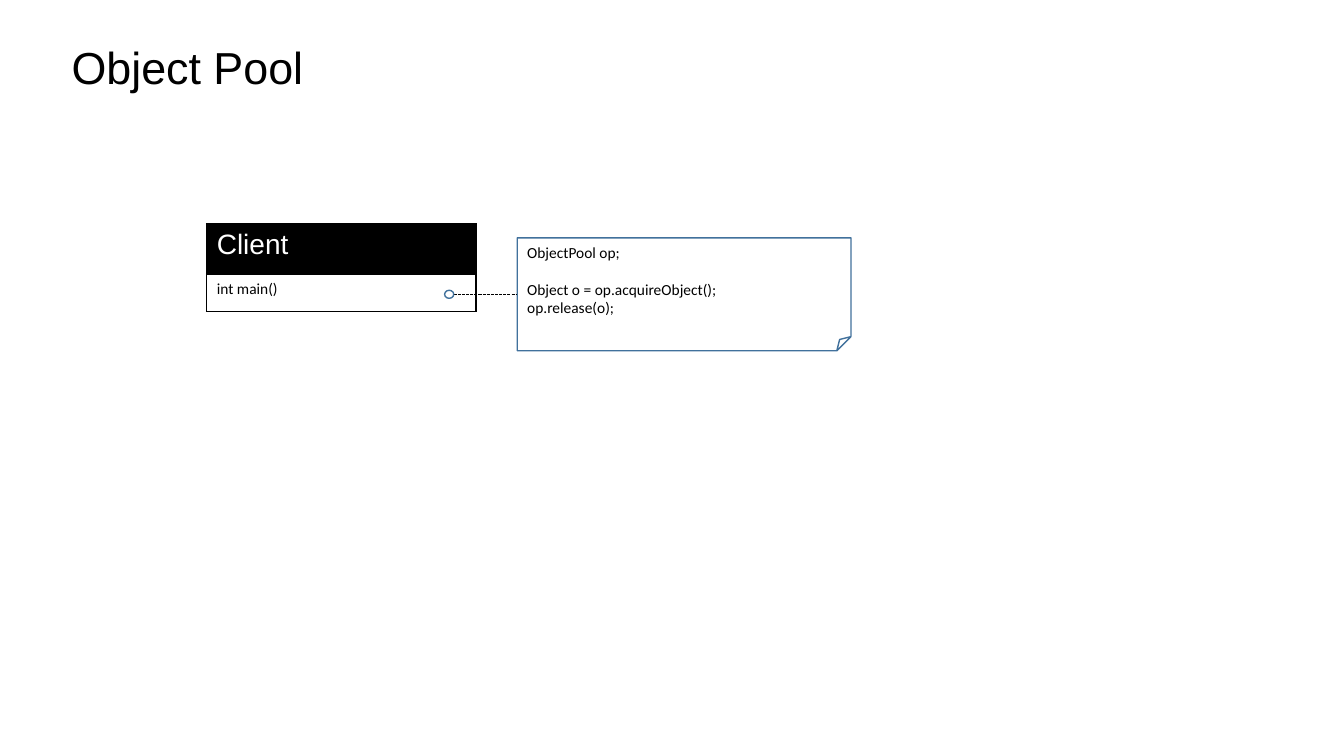
"""Build the Object Pool slide: a client class and a note with its code."""
import dataclasses

import lxml.etree
import pptx
import pptx.dml.color
import pptx.enum.dml
import pptx.enum.shapes
import pptx.enum.text
import pptx.oxml.ns
import pptx.util
from pptx.util import Inches


@dataclasses.dataclass(frozen=True)
class Theme:
    black: str = "000000"
    white: str = "FFFFFF"
    blue: str = "41719C"
    heading_font: str = "Arial"
    body_font: str = "Calibri"
    title_size: int = 32
    class_size: int = 20
    code_size: int = 11
    blank_line: float = 13.4
    border: float = 1.13


theme = Theme()
color = pptx.dml.color.RGBColor.from_string
qualified = pptx.oxml.ns.qn


def write_text(frame, text, *, font, size, fill=theme.black, align=pptx.enum.text.PP_ALIGN.LEFT,
               anchor=pptx.enum.text.MSO_ANCHOR.TOP, inset=(0.1, 0.05), gap_before=None):
    """Fill a text frame, one paragraph a line, with space before the line numbered gap_before."""
    frame.word_wrap = True
    frame.vertical_anchor = anchor
    frame.margin_left = frame.margin_right = Inches(inset[0])
    frame.margin_top = frame.margin_bottom = Inches(inset[1])
    for index, line in enumerate(text.split("\n")):
        paragraph = frame.add_paragraph() if index else frame.paragraphs[0]
        paragraph.alignment = align
        if index == gap_before:
            paragraph.space_before = pptx.util.Pt(theme.blank_line)
        run = paragraph.add_run()
        run.text = line
        run.font.name = font
        run.font.size = pptx.util.Pt(size)
        run.font.color.rgb = color(fill)


def add_outline(kind, left, top, width, height):
    """Add an unfilled shape with a thin blue line."""
    shape = slide.shapes.add_shape(kind, Inches(left), Inches(top), Inches(width), Inches(height))
    shape.shadow.inherit = False
    shape.fill.background()
    shape.line.color.rgb = color(theme.blue)
    shape.line.width = pptx.util.Pt(1)
    return shape


presentation = pptx.Presentation()
presentation.slide_width = Inches(13.33)
presentation.slide_height = Inches(7.5)
slide = presentation.slides.add_slide(presentation.slide_layouts[6])

title = slide.shapes.add_textbox(Inches(0.42), Inches(0.13), Inches(2.88), Inches(1.07))
write_text(title.text_frame, "Object Pool", font=theme.heading_font, size=theme.title_size,
           align=pptx.enum.text.PP_ALIGN.CENTER, anchor=pptx.enum.text.MSO_ANCHOR.MIDDLE, inset=(0, 0))

client_table = slide.shapes.add_table(2, 1, Inches(2.05), Inches(2.22), Inches(2.67), Inches(0.87)).table
client_rows = [
    ("Client", 0.5, theme.heading_font, theme.class_size, theme.white, theme.black),
    ("int main()", 0.37, theme.body_font, theme.code_size, theme.black, theme.white),
]
for index, (text, height, font, size, text_color, background) in enumerate(client_rows):
    client_table.rows[index].height = Inches(height)
    cell = client_table.cell(index, 0)
    write_text(cell.text_frame, text, font=font, size=size, fill=text_color)
    cell.margin_left = cell.margin_right = Inches(0.1)
    cell.margin_top = cell.margin_bottom = Inches(0.05)
    cell.fill.solid()
    cell.fill.fore_color.rgb = color(background)
    properties = cell._tc.get_or_add_tcPr()
    for position, side in enumerate(("a:lnL", "a:lnR", "a:lnT", "a:lnB")):
        border = lxml.etree.Element(qualified(side), w=str(pptx.util.Pt(theme.border)))
        solid = lxml.etree.SubElement(border, qualified("a:solidFill"))
        lxml.etree.SubElement(solid, qualified("a:srgbClr"), val=theme.black)
        properties.insert(position, border)

note = add_outline(pptx.enum.shapes.MSO_SHAPE.FOLDED_CORNER, 5.13, 2.36, 3.31, 1.12)
fold = note._element.spPr.find(qualified("a:prstGeom")).find(qualified("a:avLst"))
lxml.etree.SubElement(fold, qualified("a:gd"), name="adj", fmla="val 12500")
write_text(note.text_frame, "ObjectPool op;\nObject o = op.acquireObject();\nop.release(o);",
           font=theme.body_font, size=theme.code_size, gap_before=1)

note_link = slide.shapes.add_connector(pptx.enum.shapes.MSO_CONNECTOR.STRAIGHT,
                                       Inches(4.5), Inches(2.92), Inches(5.13), Inches(2.92))
note_link.end_connect(note, 1)
note_link.line.color.rgb = color(theme.black)
note_link.line.width = pptx.util.Pt(0.75)
note_link.line.dash_style = pptx.enum.dml.MSO_LINE.SQUARE_DOT
lxml.etree.SubElement(note_link._element.spPr, qualified("a:effectLst"))

add_outline(pptx.enum.shapes.MSO_SHAPE.OVAL, 4.41, 2.88, 0.09, 0.08)

presentation.save("out.pptx")
